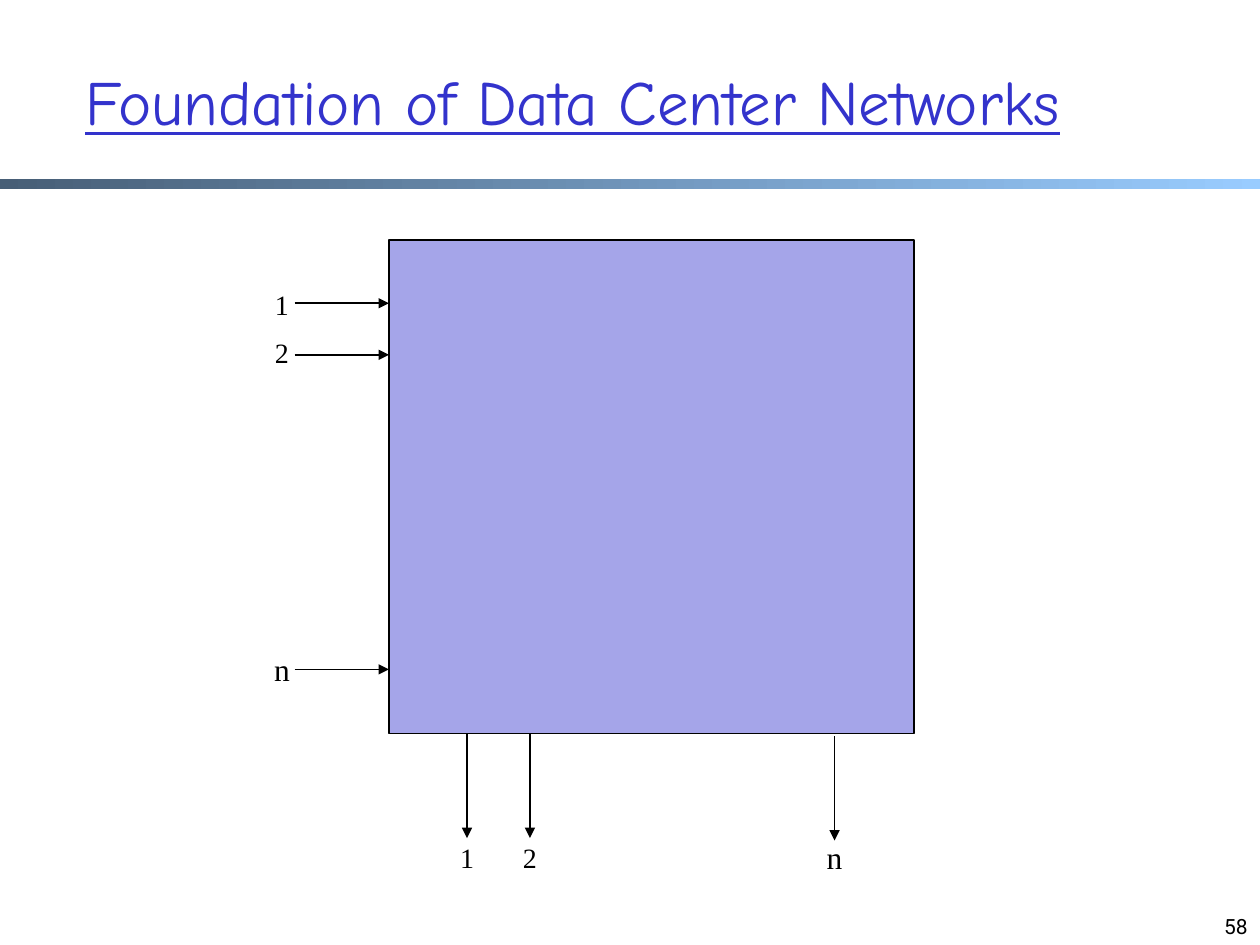
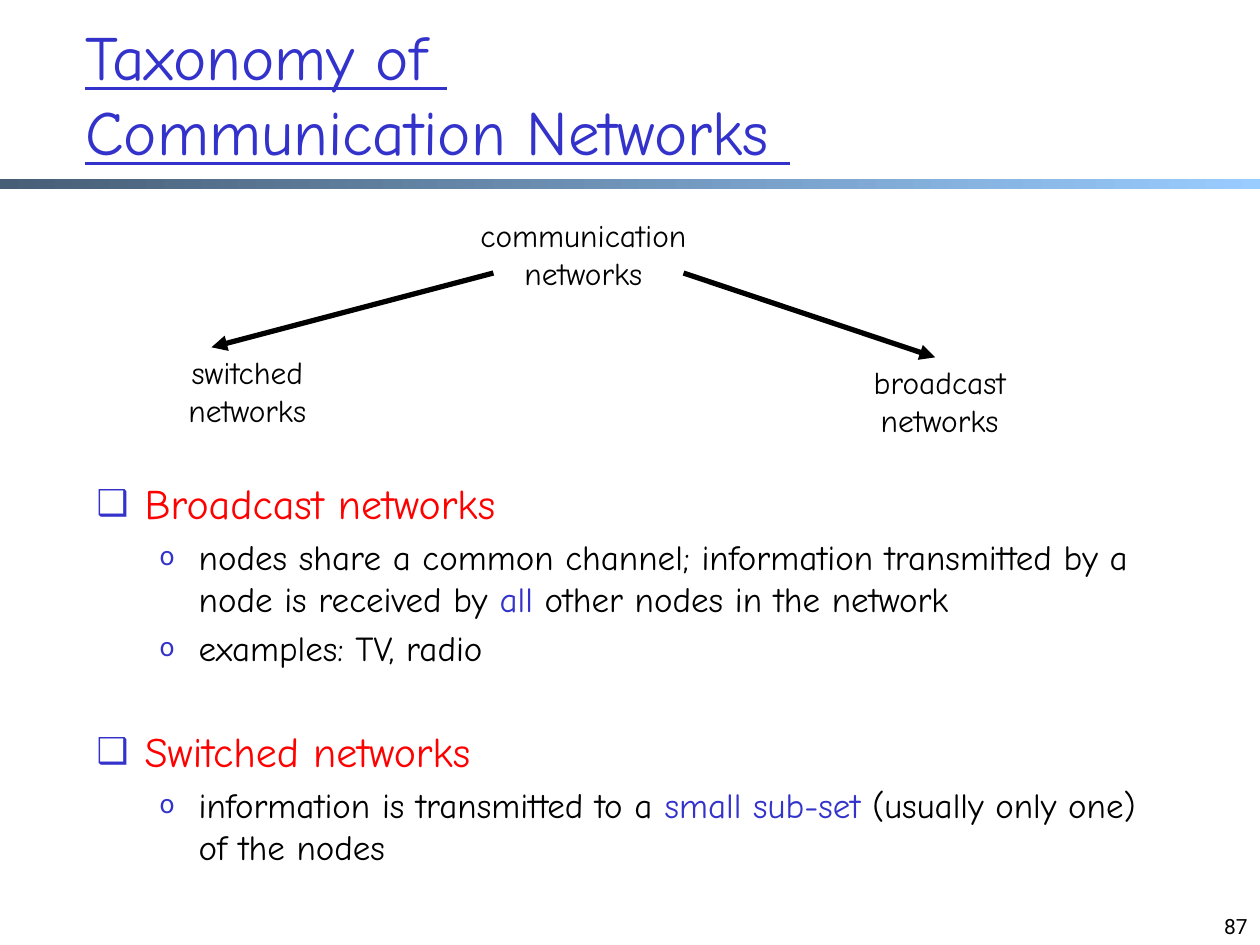
from lxml import etree
from pptx import Presentation
from pptx import util as u
from pptx.dml.color import RGBColor
from pptx.enum import shapes, text
from pptx.oxml import ns

COLORS = {
    "ink": "000000",
    "accent": "3333CC",
    "heading": "FF0000",
    "switch": "A5A5E9",
    "bar_start": "475E76",
    "bar_end": "99CCFF",
}
FORMATS = {
    "title": {"name": "Comic Neue", "size": u.Pt(36), "underline": True},
    "number": {"name": "Roboto", "size": u.Pt(12)},
    "digit": {"name": "Times New Roman", "size": u.Pt(16)},
    "letter": {"name": "Times New Roman", "size": u.Pt(18)},
    "node": {"name": "Comic Neue", "size": u.Pt(18)},
    "heading": {"name": "Comic Neue", "size": u.Pt(24)},
    "detail": {"name": "Comic Neue", "size": u.Pt(20)},
}
BULLETS = {
    "heading": {"level": 0, "margin": 0.38, "hanging": 0.38, "char": "❑", "percent": 85},
    "detail": {"level": 1, "margin": 0.81, "hanging": 0.31, "char": "o", "percent": 75},
}


def color(name):
    return RGBColor.from_string(COLORS[name])


def add_element(parent, tag, **attributes):
    return etree.SubElement(parent, ns.qn(tag), attributes)


class Deck:
    def __init__(self):
        self.presentation = Presentation()
        self.presentation.slide_width = u.Inches(10.01)
        self.presentation.slide_height = u.Inches(7.51)
        self.slide = None

    def add_slide(self, title, title_box, anchor, number):
        layout = self.presentation.slide_layouts[6]
        self.slide = self.presentation.slides.add_slide(layout)
        self.bar()
        self.label(title, title_box, "title", text.PP_ALIGN.LEFT, anchor, "accent")
        self.label(number, (7.68, 7.01, 2.33, 0.5), "number",
                   text.PP_ALIGN.RIGHT, text.MSO_ANCHOR.BOTTOM)

    def rectangle(self, box):
        shape = self.slide.shapes.add_shape(
            shapes.MSO_SHAPE.RECTANGLE, *map(u.Inches, box))
        shape.shadow.inherit = False
        return shape

    def bar(self):
        shape = self.rectangle((0, 1.42, 10.01, 0.08))
        shape.line.fill.background()
        shape.fill.gradient()
        shape.fill.gradient_angle = 0
        for stop, name, position in zip(
                shape.fill.gradient_stops, ("bar_start", "bar_end"), (0, 1)):
            stop.color.rgb = color(name)
            stop.position = position

    def block(self, box):
        shape = self.rectangle(box)
        shape.fill.solid()
        shape.fill.fore_color.rgb = color("switch")
        shape.line.color.rgb = color("ink")
        shape.line.width = u.Pt(1)

    def text_frame(self, box, anchor=text.MSO_ANCHOR.TOP):
        frame = self.slide.shapes.add_textbox(*map(u.Inches, box)).text_frame
        frame.word_wrap = True
        frame.vertical_anchor = anchor
        return frame

    def run(self, paragraph, content, style, color_name="ink"):
        for index, line in enumerate(content.split("\n")):
            if index:
                paragraph.add_line_break()
            run = paragraph.add_run()
            run.text = line
            for attribute, value in FORMATS[style].items():
                setattr(run.font, attribute, value)
            run.font.color.rgb = color(color_name)

    def label(self, content, box, style, alignment=text.PP_ALIGN.CENTER,
              anchor=text.MSO_ANCHOR.TOP, color_name="ink"):
        paragraph = self.text_frame(box, anchor).paragraphs[0]
        paragraph.alignment = alignment
        self.run(paragraph, content, style, color_name)

    def port_label(self, content, center, top):
        style = "digit" if content.isdigit() else "letter"
        width, height = (0.31, 0.37) if style == "digit" else (0.33, 0.4)
        self.label(content, (center - width / 2, top, width, height), style)

    def arrow(self, start, end, width=1):
        connector = self.slide.shapes.add_connector(
            shapes.MSO_CONNECTOR.STRAIGHT, *map(u.Inches, start + end))
        connector.line.color.rgb = color("ink")
        connector.line.width = u.Pt(width)
        add_element(connector.line._get_or_add_ln(), "a:tailEnd", type="triangle")
        add_element(connector._element.spPr, "a:effectLst")

    def bullet_list(self, box, items):
        frame = self.text_frame(box)
        for index, (style, space, runs) in enumerate(items):
            paragraph = frame.add_paragraph() if index else frame.paragraphs[0]
            bullet = BULLETS[style]
            properties = paragraph._p.get_or_add_pPr()
            properties.set("marL", str(u.Inches(bullet["margin"])))
            properties.set("indent", str(-u.Inches(bullet["hanging"])))
            add_element(add_element(properties, "a:buClr"), "a:srgbClr",
                        val=COLORS["accent"])
            add_element(properties, "a:buSzPct", val=str(bullet["percent"] * 1000))
            add_element(properties, "a:buFont", typeface="Roboto")
            add_element(properties, "a:buChar", char=bullet["char"])
            paragraph.level = bullet["level"]
            paragraph.space_before = u.Pt(space)
            for content, color_name in runs:
                self.run(paragraph, content, style, color_name)


def add_foundation_slide(deck):
    deck.add_slide("Foundation of Data Center Networks", (0.58, 0.17, 9.26, 1.25),
                   text.MSO_ANCHOR.MIDDLE, "58")
    deck.block((3.09, 1.91, 4.17, 3.92))
    for name, y, label_top in (("1", 2.41, 2.24), ("2", 2.82, 2.62), ("n", 5.32, 5.12)):
        deck.arrow((2.34, y), (3.09, y))
        deck.port_label(name, 2.24, label_top)
    for name, x, top, label_top in (
            ("1", 3.71, 5.83, 6.63), ("2", 4.21, 5.83, 6.63), ("n", 6.63, 5.85, 6.61)):
        deck.arrow((x, top), (x, top + 0.83))
        deck.port_label(name, x, label_top)


def add_taxonomy_slide(deck):
    deck.add_slide("Taxonomy of \nCommunication Networks ", (0.58, 0.09, 8.51, 1.25),
                   text.MSO_ANCHOR.TOP, "87")
    deck.bullet_list((0.67, 3.75, 8.51, 3.34), (
        ("heading", 0, (("Broadcast networks", "heading"),)),
        ("detail", 4, (
            ("nodes share a common channel; information transmitted by a node is received by ",
             "ink"),
            ("all", "accent"),
            (" other nodes in the network", "ink"))),
        ("detail", 4, (("examples: TV, radio", "ink"),)),
        ("heading", 33, (("Switched networks", "heading"),)),
        ("detail", 4, (
            ("information is transmitted to a ", "ink"),
            ("small sub-set", "accent"),
            (" (usually only one) of the nodes", "ink"))),
    ))
    for content, left, top in (("communication\nnetworks", 3.51, 1.67),
                               ("broadcast\nnetworks", 6.34, 2.84),
                               ("switched\nnetworks", 0.84, 2.76)):
        deck.label(content, (left, top, 2.25, 0.7), "node")
    deck.arrow((3.92, 2.17), (1.68, 2.76), 3)
    deck.arrow((5.43, 2.17), (7.43, 2.84), 3)


def main():
    deck = Deck()
    add_foundation_slide(deck)
    add_taxonomy_slide(deck)
    deck.presentation.save("out.pptx")


if __name__ == "__main__":
    main()
